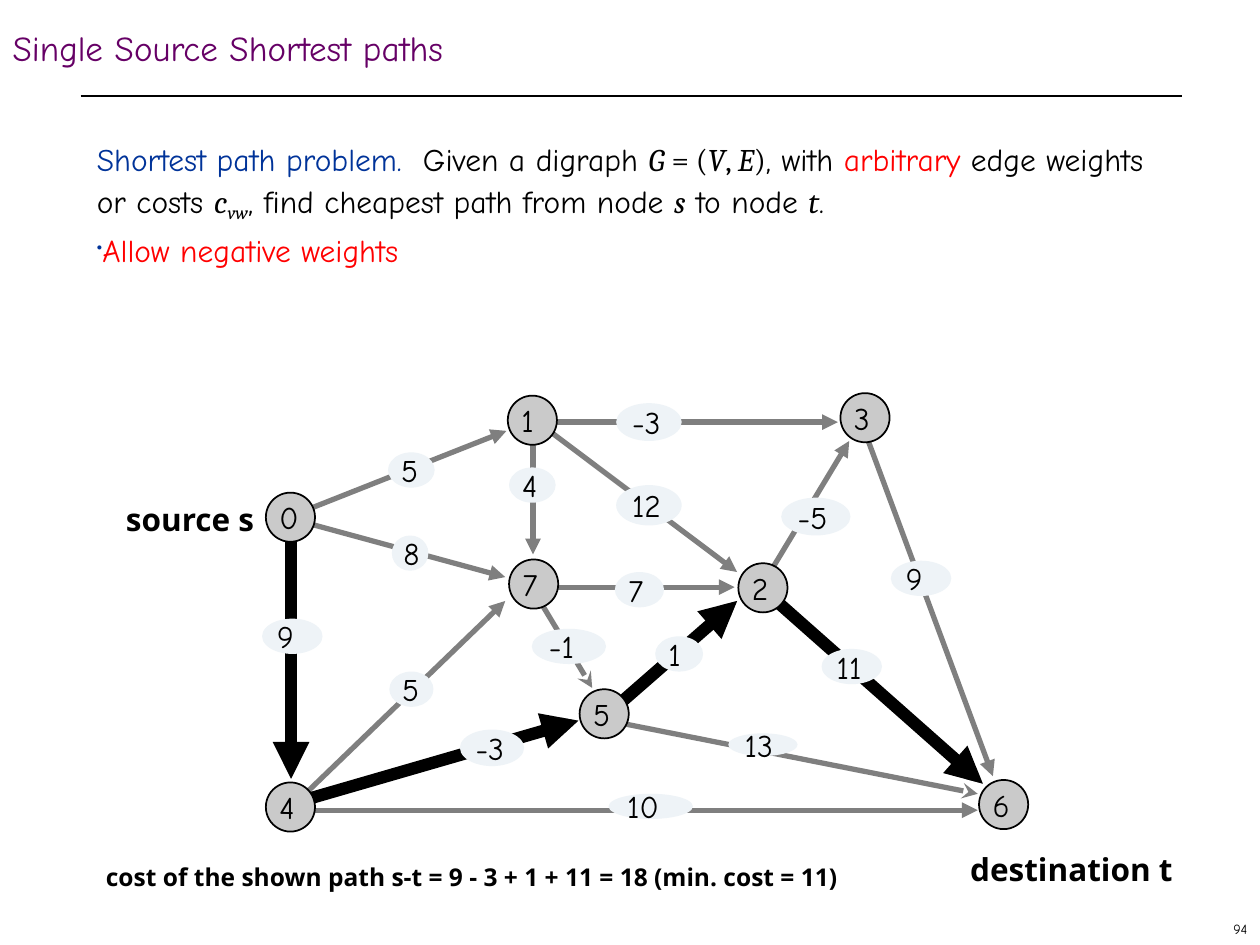
from lxml.etree import SubElement
from pptx import Presentation
from pptx.dml.color import RGBColor
from pptx.enum.shapes import MSO_CONNECTOR, MSO_SHAPE
from pptx.enum.text import MSO_ANCHOR, MSO_AUTO_SIZE, PP_ALIGN
from pptx.oxml.ns import qn
from pptx.util import Emu, Pt

PX = 9144  # 100 px to the inch

BLACK = RGBColor(0x00, 0x00, 0x00)
PURPLE = RGBColor(0x66, 0x00, 0x66)
BLUE = RGBColor(0x00, 0x33, 0x99)
RED = RGBColor(0xFF, 0x00, 0x00)
EDGE_GRAY = RGBColor(0x7F, 0x7F, 0x7F)
NODE_GRAY = RGBColor(0xCA, 0xCA, 0xCA)
PALE_BLUE = RGBColor(0xEE, 0xF3, 0xF7)

HAND, MATH, LABEL = "Comic Neue", "Cambria", "Open Sans"
NODE_SIZE = 39

# Node name: left, top
NODES = {
    "0": (211, 391), "1": (403, 314), "2": (586, 447), "3": (667, 312),
    "4": (211, 621), "5": (460, 547), "6": (777, 619), "7": (404, 444),
}

# Edges: arrow tip x, y, then tail x, y
PATH_EDGES = [
    (780, 622, 615, 476), (231, 618, 231, 422),
    (585, 477, 482, 567), (459, 572, 231, 638),
]
OTHER_EDGES = [
    (401, 477, 234, 638), (583, 466, 420, 466), (423, 440, 423, 332),
    (788, 616, 685, 339), (674, 350, 601, 471), (776, 643, 230, 643),
    (401, 458, 232, 412), (402, 342, 235, 408), (585, 454, 428, 336),
    (665, 335, 422, 335),
]
STEALTH_EDGES = [(776, 630, 488, 573), (470, 546, 420, 463)]

# Edge weights: text, left, top, width, height
WEIGHTS = [
    ("-1", 422, 499, 59, 28), ("8", 311, 425, 29, 28), ("5", 309, 533, 35, 28),
    ("7", 488, 454, 39, 28), ("5", 308, 359, 37, 28), ("4", 404, 371, 37, 28),
    ("-3", 489, 320, 52, 30), ("-5", 620, 395, 55, 30), ("12", 489, 385, 52, 32),
    ("10", 483, 630, 67, 20), ("13", 578, 582, 55, 18), ("9", 707, 445, 48, 28),
    ("9", 208, 491, 48, 28), ("-3", 365, 579, 51, 29), ("1", 520, 505, 38, 28),
    ("11", 652, 515, 48, 28),
]


def px(*lengths):
    return [Emu(length * PX) for length in lengths]


class SlideBuilder:
    def __init__(self, presentation):
        self.slide = presentation.slides.add_slide(presentation.slide_layouts[5])

    def run(self, paragraph, text, size=18, font=HAND, color=BLACK,
            bold=False, italic=False, baseline=None):
        run = paragraph.add_run()
        run.text = text
        run.font.name = font
        run.font.size = Pt(size)
        run.font.bold = bold
        run.font.italic = italic
        run.font.color.rgb = color
        if baseline:
            run.font._element.set("baseline", str(baseline))

    def title(self, text, box):
        shape = self.slide.shapes.title
        shape.left, shape.top, shape.width, shape.height = px(*box)
        frame = shape.text_frame
        frame.vertical_anchor = MSO_ANCHOR.MIDDLE
        frame.auto_size = MSO_AUTO_SIZE.NONE
        paragraph = frame.paragraphs[0]
        paragraph.alignment = PP_ALIGN.LEFT
        paragraph.line_spacing = 0.7
        self.run(paragraph, text, size=20, color=PURPLE)

    def text_box(self, box, wrap=True):
        frame = self.slide.shapes.add_textbox(*px(*box)).text_frame
        frame.word_wrap = wrap
        return frame

    def label(self, text, box, size=18):
        frame = self.text_box(box, wrap=False)
        frame.margin_left = frame.margin_top = 0
        frame.margin_right = frame.margin_bottom = 0
        frame.auto_size = MSO_AUTO_SIZE.SHAPE_TO_FIT_TEXT
        self.run(frame.paragraphs[0], text, size=size, font=LABEL, bold=True)

    def bullet(self, paragraph, color, percent):
        properties = paragraph._p.get_or_add_pPr()
        color_element = SubElement(properties, qn("a:buClr"))
        SubElement(color_element, qn("a:srgbClr"), val=str(color))
        SubElement(properties, qn("a:buSzPct"), val=str(percent * 1000))
        SubElement(properties, qn("a:buChar"), char="•")

    def line(self, ends, color, width, head=None):
        connector = self.slide.shapes.add_connector(MSO_CONNECTOR.STRAIGHT, *px(*ends))
        connector.line.color.rgb = color
        connector.line.width = Pt(width)
        if head:
            SubElement(connector.line._get_or_add_ln(), qn("a:headEnd"), type=head)
        SubElement(connector._element.spPr, qn("a:effectLst"))

    def ellipse(self, text, box, fill, outline=None):
        shape = self.slide.shapes.add_shape(MSO_SHAPE.OVAL, *px(*box))
        shape.shadow.inherit = False
        shape.fill.solid()
        shape.fill.fore_color.rgb = fill
        if outline is None:
            shape.line.fill.background()
        else:
            shape.line.color.rgb = outline
            shape.line.width = Pt(1)
        frame = shape.text_frame
        frame.vertical_anchor = MSO_ANCHOR.MIDDLE
        frame.margin_left = frame.margin_top = frame.margin_bottom = 0
        frame.margin_right = Emu(5 * PX)
        paragraph = frame.paragraphs[0]
        paragraph.alignment = PP_ALIGN.LEFT
        paragraph._p.get_or_add_pPr().set("marL", str(5 * PX))
        self.run(paragraph, text)


def main():
    presentation = Presentation()
    presentation.slide_width, presentation.slide_height = px(1000, 750)
    builder = SlideBuilder(presentation)

    # Title, rule and slide number
    builder.line((64, 76, 938, 76), BLACK, 1)
    builder.title("Single Source Shortest paths", (0, 17, 1000, 50))
    number = builder.text_box((792, 725, 208, 25), wrap=False)
    number.vertical_anchor = MSO_ANCHOR.MIDDLE
    number.paragraphs[0].alignment = PP_ALIGN.RIGHT
    builder.run(number.paragraphs[0], "94", size=8)

    # Problem statement
    body = builder.text_box((67, 100, 858, 592))
    statement = body.paragraphs[0]
    statement.line_spacing = Pt(26)
    variable = {"font": MATH, "italic": True}
    for text, style in [
        ("Shortest path problem. ", {"color": BLUE}),
        (" Given a digraph ", {}),
        ("G", variable), (" = (", {"font": MATH}),
        ("V", variable), (", ", {"font": MATH}),
        ("E", variable), (")", {"font": MATH}),
        (", with ", {}), ("arbitrary", {"color": RED}),
        (" edge weights or costs ", {}),
        ("c", variable), ("vw", {**variable, "baseline": -20000}),
        (", find cheapest path from node ", {}), ("s", variable),
        (" to node ", {}), ("t", variable), (".", {}),
    ]:
        builder.run(statement, text, **style)
    remark = body.add_paragraph()
    remark.line_spacing = Pt(26)
    builder.bullet(remark, BLUE, 50)
    builder.run(remark, "Allow negative weights", color=RED)

    # Edges, with the chosen path in bold black
    for edge in STEALTH_EDGES:
        builder.line(edge, EDGE_GRAY, 3, "stealth")
    for edge in OTHER_EDGES + PATH_EDGES:
        builder.line(edge, EDGE_GRAY, 3, "triangle")
    for edge in PATH_EDGES:
        builder.line(edge, BLACK, 7, "triangle")

    # Nodes and edge weights
    for name, corner in NODES.items():
        builder.ellipse(name, (*corner, NODE_SIZE, NODE_SIZE), NODE_GRAY, BLACK)
    for text, *box in WEIGHTS:
        builder.ellipse(text, box, PALE_BLUE)

    # Labels
    builder.label("source s", (100, 397, 107, 30))
    builder.label("destination t", (770, 675, 165, 30))
    builder.label("cost of the shown path s-t = 9 - 3 + 1 + 11 = 18 (min. cost = 11)",
                  (84, 684, 671, 24), size=14)

    presentation.save("out.pptx")


if __name__ == "__main__":
    main()
